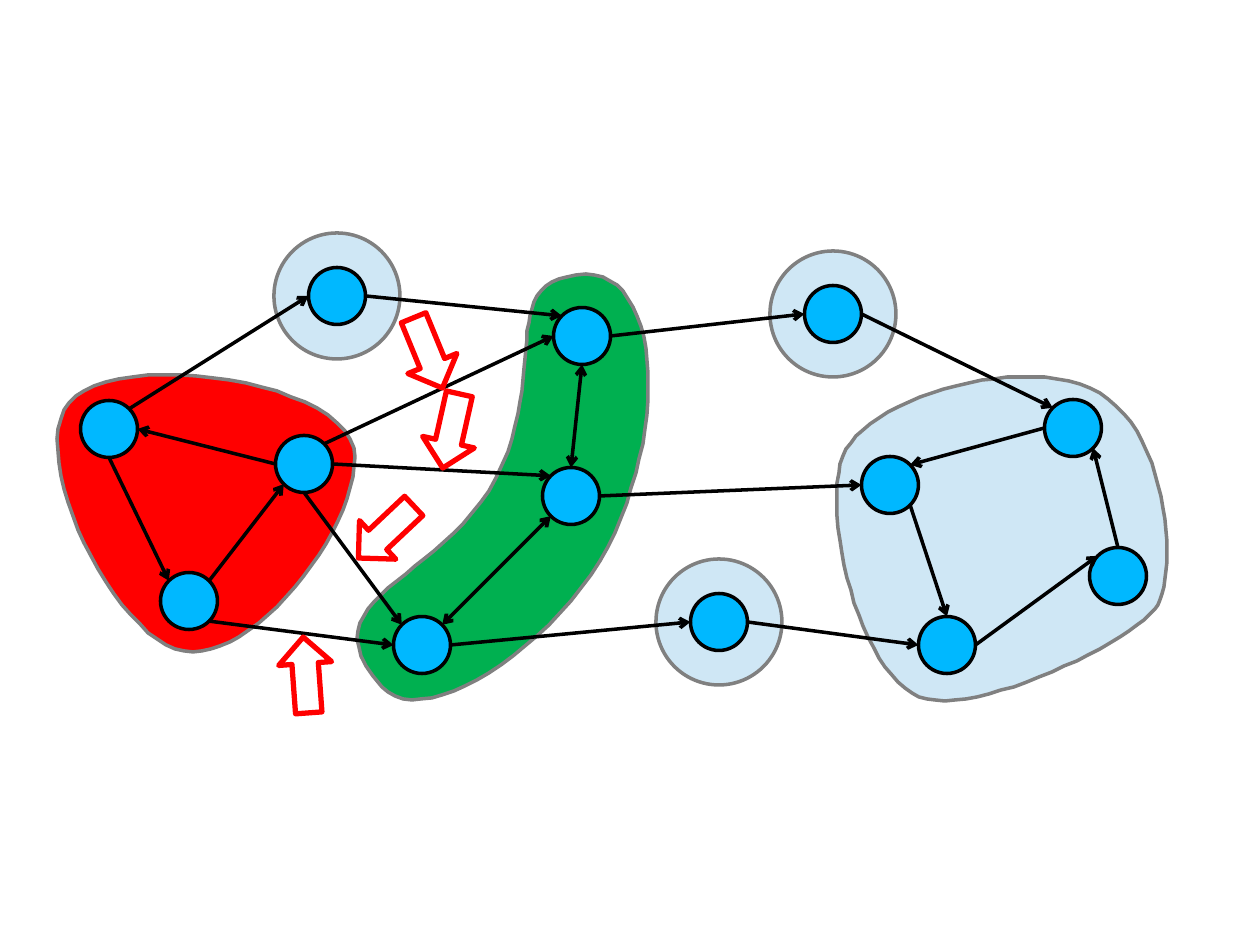
"""Build a directed graph slide with its strongly connected components marked."""
from math import sqrt

from lxml import etree
from pptx import Presentation
from pptx import util as u
from pptx.dml.color import RGBColor
from pptx.enum import shapes as kinds
from pptx.oxml.ns import qn

PX = 914400 // 126
NODE, HALO = 57, 126
ARROW_W, ARROW_H = 76, 53
CURVE_STEPS = 24
PALE, GREY, BLUE, BLACK, RED, GREEN = "CFE7F5", "808080", "00B8FF", "000000", "FF0000", "00B050"

COMPONENTS = [
    (GREEN, [(382, 687), (426, 736), (576, 635), (621, 518), (668, 401), (655, 263), (576, 275),
             (496, 286), (551, 370), (496, 478), (442, 583), (301, 596), (382, 687)]),
    (RED, [(69, 403), (115, 346), (355, 381), (355, 457), (355, 534), (252, 663), (184, 651),
           (115, 640), (25, 457), (69, 403)]),
    (PALE, [(843, 456), (863, 402), (1009, 354), (1090, 388), (1169, 422), (1178, 571), (1158, 605),
            (1138, 639), (975, 719), (919, 697), (861, 673), (820, 517), (843, 456)]),
]
NODES = {
    "a": (109, 429), "b": (189, 601), "c": (304, 464), "d": (947, 645), "e": (890, 485),
    "f": (1073, 428), "g": (1118, 576), "h": (422, 645), "i": (571, 496), "j": (719, 622),
    "k": (582, 336), "l": (833, 314), "m": (337, 296),
}
SINGLETONS = "jlm"
EDGES = [
    "a S b NW", "b NE c SW", "c W a E", "d E g NW", "g N f SE", "f W e NE", "e SE d N",
    "b SE h W", "h E j W", "j E d W", "c E i NW", "c S h NW", "c NE k W", "a NE m W",
    "m E k NW", "k E l W", "l E f NW", "i E e W",
]
TWO_WAY_EDGES = ["i SW h NE", "k S i N"]
MARKERS = [(428, 353, 67.7), (451, 431, 102.6), (386, 532, 136.7), (306, 675, 265.8)]


def px(length):
    return u.Emu(round(length * PX))


def paint(shape, fill, line, width=2):
    shape.shadow.inherit = False
    if fill:
        shape.fill.solid()
        shape.fill.fore_color.rgb = RGBColor.from_string(fill)
    else:
        shape.fill.background()
    shape.line.color.rgb = RGBColor.from_string(line)
    shape.line.width = u.Pt(width)


def add_centred(slide, kind, centre, width, height):
    x, y = centre
    return slide.shapes.add_shape(
        kind, px(x - width / 2), px(y - height / 2), px(width), px(height))


def add_circle(slide, centre, diameter, fill, line):
    paint(add_centred(slide, kinds.MSO_SHAPE.OVAL, centre, diameter, diameter), fill, line)


def bezier(controls, t):
    weights = ((1 - t) ** 3, 3 * t * (1 - t) ** 2, 3 * t ** 2 * (1 - t), t ** 3)
    return tuple(sum(w * p[axis] for w, p in zip(weights, controls)) for axis in (0, 1))


def add_component(slide, fill, controls):
    outline = [bezier(controls[start:start + 4], step / CURVE_STEPS)
               for start in range(0, len(controls) - 1, 3)
               for step in range(1, CURVE_STEPS + 1)]
    builder = slide.shapes.build_freeform(*controls[0], scale=PX)
    builder.add_line_segments(outline[:-1], close=True)
    paint(builder.convert_to_shape(), fill, GREY)


def rim_point(node, side):
    x, y = NODES[node]
    dx = ("E" in side) - ("W" in side)
    dy = ("S" in side) - ("N" in side)
    reach = NODE / 2 / sqrt(dx * dx + dy * dy)
    return px(x + dx * reach), px(y + dy * reach)


def add_edge(slide, edge, ends):
    source, source_side, target, target_side = edge.split()
    link = slide.shapes.add_connector(
        kinds.MSO_CONNECTOR.STRAIGHT,
        *rim_point(source, source_side), *rim_point(target, target_side))
    link.line.color.rgb = RGBColor.from_string(BLACK)
    link.line.width = u.Pt(2)
    for end in ends:
        etree.SubElement(link.line._get_or_add_ln(), qn(end), type="arrow")
    etree.SubElement(link._element.spPr, qn("a:effectLst"))


def main():
    deck = Presentation()
    deck.slide_width, deck.slide_height = px(1260), px(945)
    slide = deck.slides.add_slide(deck.slide_layouts[6])
    for fill, controls in COMPONENTS:
        add_component(slide, fill, controls)
    for node in SINGLETONS:
        add_circle(slide, NODES[node], HALO, PALE, GREY)
    for centre in NODES.values():
        add_circle(slide, centre, NODE, BLUE, BLACK)
    for edge in EDGES:
        add_edge(slide, edge, ["a:tailEnd"])
    for edge in TWO_WAY_EDGES:
        add_edge(slide, edge, ["a:headEnd", "a:tailEnd"])
    for x, y, angle in MARKERS:
        marker = add_centred(slide, kinds.MSO_SHAPE.RIGHT_ARROW, (x, y), ARROW_W, ARROW_H)
        marker.rotation = angle
        paint(marker, None, RED, 3)
    deck.save("out.pptx")


if __name__ == "__main__":
    main()
